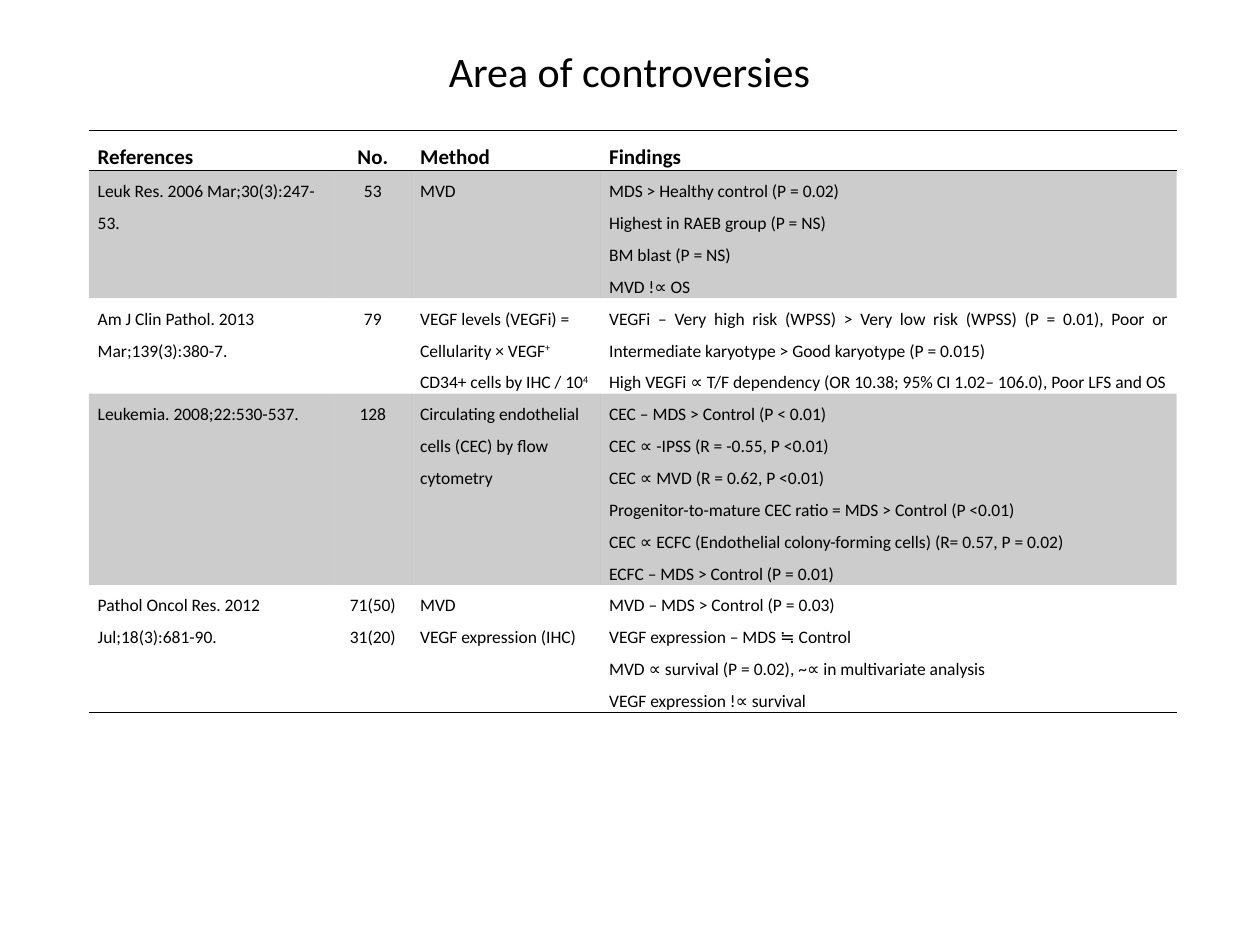
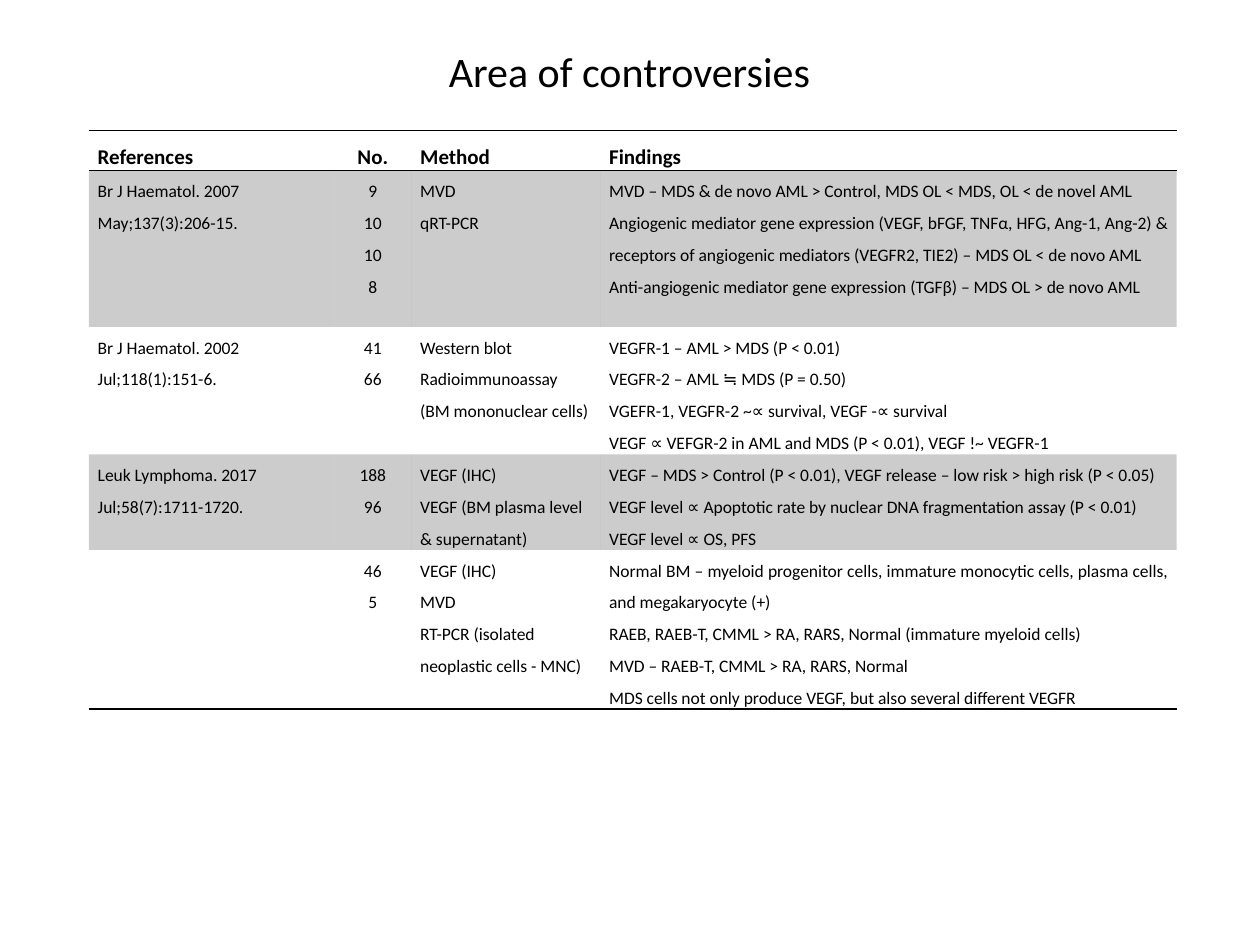
"""Build two slides that tabulate controversial study findings."""
from typing import Any, NamedTuple

from lxml import etree
from pptx import Presentation
from pptx.dml.color import RGBColor
from pptx.enum.text import MSO_ANCHOR, PP_ALIGN
from pptx.oxml.ns import qn
from pptx.util import Cm, Pt

LEFT, CENTER, JUSTIFY = PP_ALIGN.LEFT, PP_ALIGN.CENTER, PP_ALIGN.JUSTIFY
TOP, MIDDLE = MSO_ANCHOR.TOP, MSO_ANCHOR.MIDDLE
FONT = "Calibri"
BLACK = "000000"
BAND_OPACITY = 20
TITLE = "Area of controversies"
TITLE_ONLY = 5
NO_STYLE = "{2D5ABB26-0587-4C30-8999-92F81FD0307C}"
HEADER_HEIGHT = 0.81
LINE_HEIGHT = 0.63
SIDE_MARGIN = 0.18


class Column(NamedTuple):
    """A table column with its heading, width in cm and alignments."""
    heading: str
    width: float
    align: Any
    heading_align: Any


class Study(NamedTuple):
    """A table row; lines is its height in text lines, ^x^ marks superscript."""
    lines: int
    reference: str
    number: str
    method: str
    findings: str


COLUMNS = [
    Column("References", 4.95, LEFT, LEFT),
    Column("No.", 1.55, CENTER, CENTER),
    Column("Method", 3.81, LEFT, LEFT),
    Column("Findings", 11.62, JUSTIFY, LEFT),
]

SLIDES = [
    [
        Study(4, "Leuk Res. 2006 Mar;30(3):247-53.", "53", "MVD",
              "MDS > Healthy control (P = 0.02)\n"
              "Highest in RAEB group (P = NS)\n"
              "BM blast (P = NS)\n"
              "MVD !∝ OS"),
        Study(3, "Am J Clin Pathol. 2013 Mar;139(3):380-7.", "79",
              "VEGF levels (VEGFi) = Cellularity × VEGF^+^ CD34+ cells by IHC / 10^4^",
              "VEGFi – Very high risk (WPSS) > Very low risk (WPSS) (P = 0.01), "
              "Poor or Intermediate karyotype > Good karyotype (P = 0.015)\n"
              "High VEGFi ∝ T/F dependency (OR 10.38; 95% CI 1.02– 106.0), "
              "Poor LFS and OS"),
        Study(6, "Leukemia. 2008;22:530-537.", "128",
              "Circulating endothelial cells (CEC) by flow cytometry",
              "CEC – MDS > Control (P < 0.01)\n"
              "CEC ∝ -IPSS (R = -0.55, P <0.01)\n"
              "CEC ∝ MVD (R = 0.62, P <0.01)\n"
              "Progenitor-to-mature CEC ratio = MDS > Control (P <0.01)\n"
              "CEC ∝ ECFC (Endothelial colony-forming cells) (R= 0.57, P = 0.02)\n"
              "ECFC – MDS > Control (P = 0.01)"),
        Study(4, "Pathol Oncol Res. 2012 Jul;18(3):681-90.", "71(50)\n31(20)",
              "MVD\nVEGF expression (IHC)",
              "MVD – MDS > Control (P = 0.03)\n"
              "VEGF expression – MDS ≒ Control\n"
              "MVD ∝ survival (P = 0.02), ~∝ in multivariate analysis\n"
              "VEGF expression !∝ survival"),
    ],
    [
        Study(5, "Br J Haematol. 2007 May;137(3):206-15.", "9\n10\n10\n8",
              "MVD\nqRT-PCR",
              "MVD – MDS & de novo AML > Control, MDS OL < MDS, OL < de novel AML\n"
              "Angiogenic mediator gene expression (VEGF, bFGF, TNFα, HFG, Ang-1, "
              "Ang-2) & receptors of angiogenic mediators (VEGFR2, TIE2) – "
              "MDS OL < de novo AML\n"
              "Anti-angiogenic mediator gene expression (TGFβ) – MDS OL > de novo AML"),
        Study(4, "Br J Haematol. 2002 Jul;118(1):151-6.", "41\n66",
              "Western blot\nRadioimmunoassay\n(BM mononuclear cells)",
              "VEGFR-1 – AML > MDS (P < 0.01)\n"
              "VEGFR-2 – AML ≒ MDS (P = 0.50)\n"
              "VGEFR-1, VEGFR-2 ~∝ survival, VEGF -∝ survival\n"
              "VEGF ∝ VEFGR-2 in AML and MDS (P < 0.01), VEGF !~ VEGFR-1"),
        Study(3, "Leuk Lymphoma. 2017 Jul;58(7):1711-1720.", "188\n96",
              "VEGF (IHC)\nVEGF (BM plasma level & supernatant)",
              "VEGF – MDS > Control (P < 0.01), VEGF release – low risk > high risk "
              "(P < 0.05)\n"
              "VEGF level ∝ Apoptotic rate by nuclear DNA fragmentation assay "
              "(P < 0.01)\n"
              "VEGF level ∝ OS, PFS"),
        Study(5, "", "46\n5",
              "VEGF (IHC)\nMVD\nRT-PCR (isolated neoplastic cells - MNC)",
              "Normal BM – myeloid progenitor cells, immature monocytic cells, "
              "plasma cells, and megakaryocyte (+)\n"
              "RAEB, RAEB-T, CMML > RA, RARS, Normal (immature myeloid cells)\n"
              "MVD – RAEB-T, CMML > RA, RARS, Normal\n"
              "MDS cells not only produce VEGF, but also several different VEGFR"),
    ],
]


def rgb(value: str) -> RGBColor:
    """Return the colour for a hex string."""
    return RGBColor.from_string(value)


def write(tf: Any, text: str, *, size: float = 10, bold: bool = False,
          align: Any = LEFT, spacing: float = 1.5) -> None:
    """Write one paragraph per line of text, raising parts between carets."""
    for i, line in enumerate(text.split("\n")):
        p = tf.add_paragraph() if i else tf.paragraphs[0]
        p.alignment, p.line_spacing = align, spacing
        p.font.size = Pt(size)
        for j, part in enumerate(line.split("^")):
            if not part:
                continue
            r = p.add_run()
            r.text = part
            r.font.name, r.font.size, r.font.bold = FONT, Pt(size), bold
            r.font.color.rgb = rgb(BLACK)
            if j % 2:
                r.font._element.set("baseline", "30000")


def add_border(cell: Any, side: str) -> None:
    """Draw a black 1 pt line on the T or B side of a cell."""
    ln = etree.SubElement(cell._tc.get_or_add_tcPr(), qn(f"a:ln{side}"), w=str(Pt(1)))
    fill = etree.SubElement(ln, qn("a:solidFill"))
    etree.SubElement(fill, qn("a:srgbClr"), val=BLACK)


def format_cell(cell: Any, *, borders: str, banded: bool, anchor: Any) -> None:
    """Set the margins, anchor, borders and fill of a cell."""
    cell.margin_left = cell.margin_right = Cm(SIDE_MARGIN)
    cell.margin_top = cell.margin_bottom = 0
    cell.vertical_anchor = anchor
    for side in borders:
        add_border(cell, side)
    if not banded:
        cell.fill.background()
        return
    cell.fill.solid()
    cell.fill.fore_color.rgb = rgb(BLACK)
    for clr in cell._tc.tcPr.findall(f"{qn('a:solidFill')}/{qn('a:srgbClr')}"):
        etree.SubElement(clr, qn("a:alpha"), val=str(BAND_OPACITY * 1000))


def add_title(s: Any) -> None:
    """Place and write the slide title."""
    sp = s.shapes.title
    sp.left, sp.top, sp.width, sp.height = Cm(0.69), Cm(0.79), Cm(24), Cm(1.27)
    sp.text_frame.vertical_anchor = MIDDLE
    write(sp.text_frame, TITLE, size=24, align=CENTER, spacing=1.0)


def add_study_table(s: Any, studies: list[Study]) -> None:
    """Add the table of studies with a heading row and alternate bands."""
    heights = [HEADER_HEIGHT] + [LINE_HEIGHT * study.lines for study in studies]
    frame = s.shapes.add_table(len(heights), len(COLUMNS), Cm(1.79), Cm(2.63),
                               Cm(sum(c.width for c in COLUMNS)), Cm(sum(heights)))
    for style in frame._element.iter(qn("a:tableStyleId")):
        style.text = NO_STYLE
    table = frame.table
    table.first_row = table.horz_banding = False
    for row, height in zip(table.rows, heights):
        row.height = Cm(height)
    for c, column in enumerate(COLUMNS):
        table.columns[c].width = Cm(column.width)
        cell = table.cell(0, c)
        format_cell(cell, borders="TB", banded=False, anchor=MIDDLE)
        write(cell.text_frame, column.heading, size=12, bold=True,
              align=column.heading_align)
        for i, study in enumerate(studies, 1):
            cell = table.cell(i, c)
            format_cell(cell, borders="B" if i == len(studies) else "",
                        banded=i % 2 == 1, anchor=TOP)
            write(cell.text_frame, study[c + 1], align=column.align)


def main() -> None:
    """Build and save the presentation."""
    prs = Presentation()
    prs.slide_width, prs.slide_height = Cm(25.4), Cm(19.05)
    for studies in SLIDES:
        s = prs.slides.add_slide(prs.slide_layouts[TITLE_ONLY])
        add_title(s)
        add_study_table(s, studies)
    prs.save("out.pptx")


if __name__ == "__main__":
    main()
